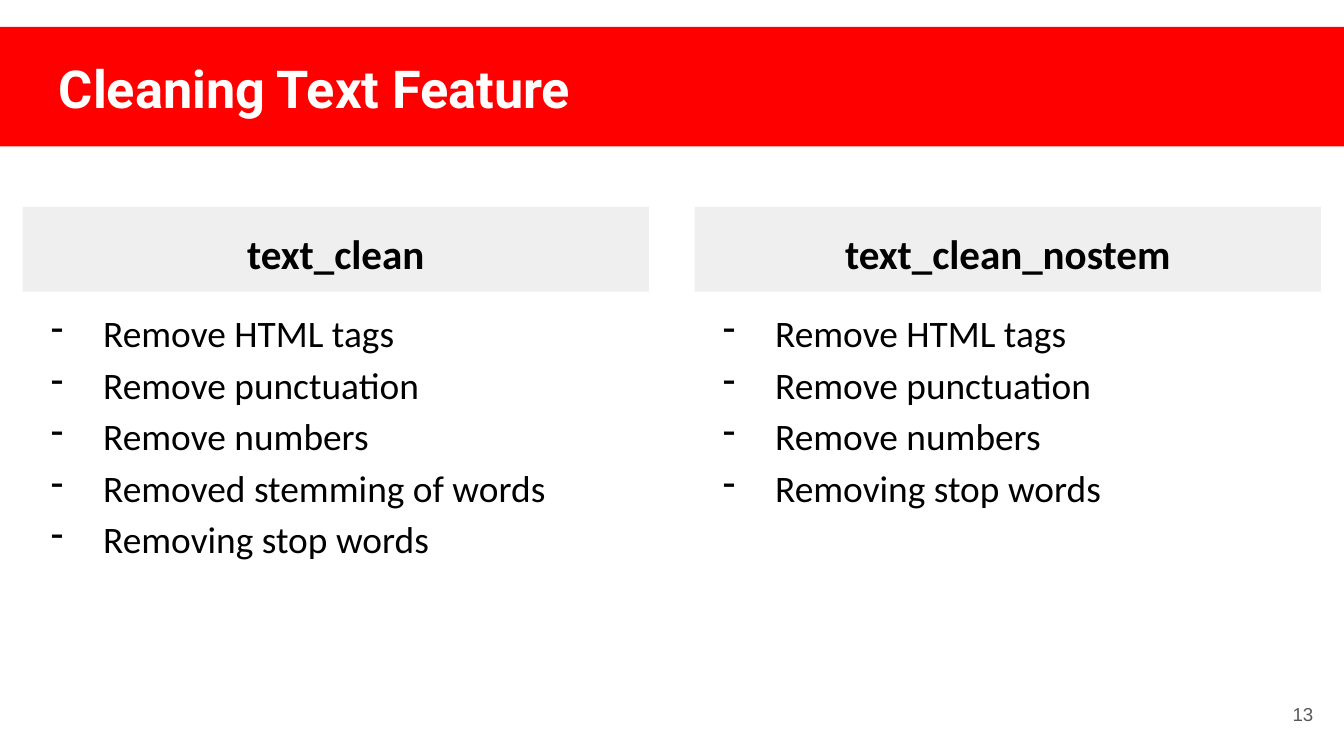
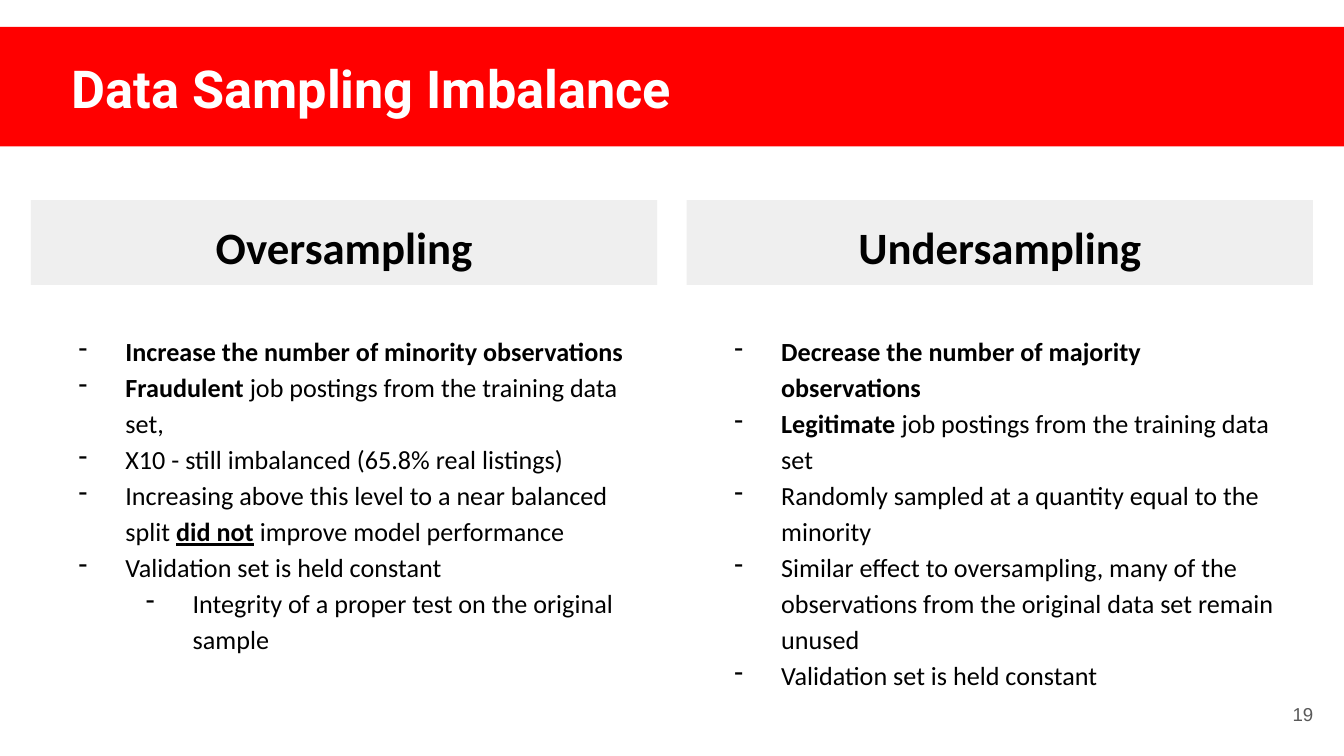
from pptx import Presentation, util as u
from pptx.dml.color import RGBColor
from pptx.enum import shapes, text
from pptx.oxml.xmlchemy import OxmlElement

HUES = {"band": "FF0000", "head": "EFEFEF", "ink": "000000", "title": "FFFFFF", "page": "595959"}
BOLD = {"bold": True}
MARK = {"bold": True, "underline": True}
MID = text.MSO_ANCHOR.MIDDLE
ALIGN = text.PP_ALIGN

CLEAN = {
    "title": "Cleaning Text Feature", "page": "13",
    "left": 12.2, "top": 110.9, "step": 360, "pad": 0, "drop": 44.6,
    "width": 335.5, "tall": 203.8, "head": 22, "size": 20, "hang": 28,
    "cols": [
        ("text_clean", ["Remove HTML tags", "Remove punctuation", "Remove numbers",
                        "Removed stemming of words", "Removing stop words"]),
        ("text_clean_nostem", ["Remove HTML tags", "Remove punctuation", "Remove numbers",
                               "Removing stop words"]),
    ],
}
SAMPLE = {
    "title": " Data Sampling Imbalance", "page": "19",
    "left": 16.6, "top": 107.3, "step": 351.3, "pad": 7.5, "drop": 62.6,
    "width": 320.4, "tall": 218, "head": 24, "size": 14, "hang": 25,
    "cols": [
        ("Oversampling", [
            [("Increase the number of minority observations", BOLD)],
            [("Fraudulent ", BOLD), ("job postings from the training data set,", {})],
            "X10 - still imbalanced (65.8% real listings)",
            [("Increasing above this level to a near balanced split ", {}), ("did not", MARK),
             (" improve model performance", {})],
            "Validation set is held constant",
            (1, "Integrity of a proper test on the original sample"),
        ]),
        ("Undersampling", [
            [("Decrease the number of majority observations", BOLD)],
            [("Legitimate ", BOLD), ("job postings from the training data set", {})],
            "Randomly sampled at a quantity equal to the minority",
            "Similar effect to oversampling, many of the observations from the original "
            "data set remain unused",
            "Validation set is held constant",
        ]),
    ],
}


def style(obj, vals):
    """Set each named value on an object."""
    for key, val in vals.items():
        setattr(obj, key, val)


def rect(slide, box, hue):
    """Add a plain filled rectangle."""
    shape = slide.shapes.add_shape(shapes.MSO_SHAPE.RECTANGLE, *map(u.Pt, box))
    shape.shadow.inherit = False
    shape.fill.solid()
    shape.fill.fore_color.rgb = RGBColor.from_string(HUES[hue])
    shape.line.fill.background()
    return shape


def area(slide, box):
    """Add an empty text box."""
    return slide.shapes.add_textbox(*map(u.Pt, box))


def frame(shape, anchor=text.MSO_ANCHOR.TOP):
    """Prepare the text frame of a shape."""
    pads = {f"margin_{side}": u.Pt(7.2) for side in ("left", "top", "right", "bottom")}
    style(shape.text_frame, {"word_wrap": True, "vertical_anchor": anchor, **pads})
    return shape.text_frame


def write(para, runs, font, size, hue, **more):
    """Write a string or a list of formatted runs into a paragraph."""
    for words, extra in [(runs, {})] if isinstance(runs, str) else runs:
        run = para.add_run()
        run.text = words
        style(run.font, {"name": font, "size": u.Pt(size), **more, **extra})
        run.font.color.rgb = RGBColor.from_string(HUES[hue])


def dash(para, level, hang):
    """Give a paragraph a hanging dash."""
    para.level = level
    props = para._p.get_or_add_pPr()
    props.set("marL", str(u.Pt(36 * (level + 1))))
    props.set("indent", str(-u.Pt(hang)))
    tint = OxmlElement("a:buClr")
    rgb = OxmlElement("a:srgbClr")
    rgb.set("val", HUES["ink"])
    tint.append(rgb)
    mark = OxmlElement("a:buChar")
    mark.set("char", "-")
    props.extend([tint, mark])


def banner(slide, box, title):
    """Draw the title band."""
    left, top, width, height = box
    rect(slide, box, "band")
    label = frame(area(slide, (left + 24.5, top + 8.6, width - 50, height - 18.7)))
    write(label.paragraphs[0], title, "Roboto", 28, "title", bold=True)


def column(slide, box, head, items, look):
    """Draw a heading bar with its dashed list below."""
    left, top, width, height = box
    body = frame(area(slide, (left + look["pad"], top + look["drop"], look["width"], look["tall"])))
    for i, item in enumerate(items):
        level, runs = item if isinstance(item, tuple) else (0, item)
        para = body.add_paragraph() if i else body.paragraphs[0]
        para.line_spacing = 1.15
        dash(para, level, look["hang"])
        write(para, runs, "Calibri", look["size"], "ink")
    para = frame(rect(slide, (left, top, width, height), "head"), MID).paragraphs[0]
    style(para, {"alignment": ALIGN.CENTER, "line_spacing": 1.15})
    write(para, head, "Calibri", look["head"], "ink", bold=True)


def footer(slide, box, page):
    """Write the page number."""
    para = frame(area(slide, box), MID).paragraphs[0]
    para.alignment = ALIGN.RIGHT
    write(para, page, "Arial", 10, "page")


def compare(deck, look):
    """Build a slide that sets two columns side by side."""
    slide = deck.slides.add_slide(deck.slide_layouts[6])
    banner(slide, (0, 14.4, 721.4, 64.1), look["title"])
    for i, (head, items) in enumerate(look["cols"]):
        box = (look["left"] + i * look["step"], look["top"], 335.5, 45.4)
        column(slide, box, head, items, look)
    footer(slide, (667.4, 367.2, 43.2, 31), look["page"])


def main():
    """Build and save the deck."""
    deck = Presentation()
    style(deck, {"slide_width": u.Pt(720), "slide_height": u.Pt(405)})
    for look in (CLEAN, SAMPLE):
        compare(deck, look)
    deck.save("out.pptx")


if __name__ == "__main__":
    main()
